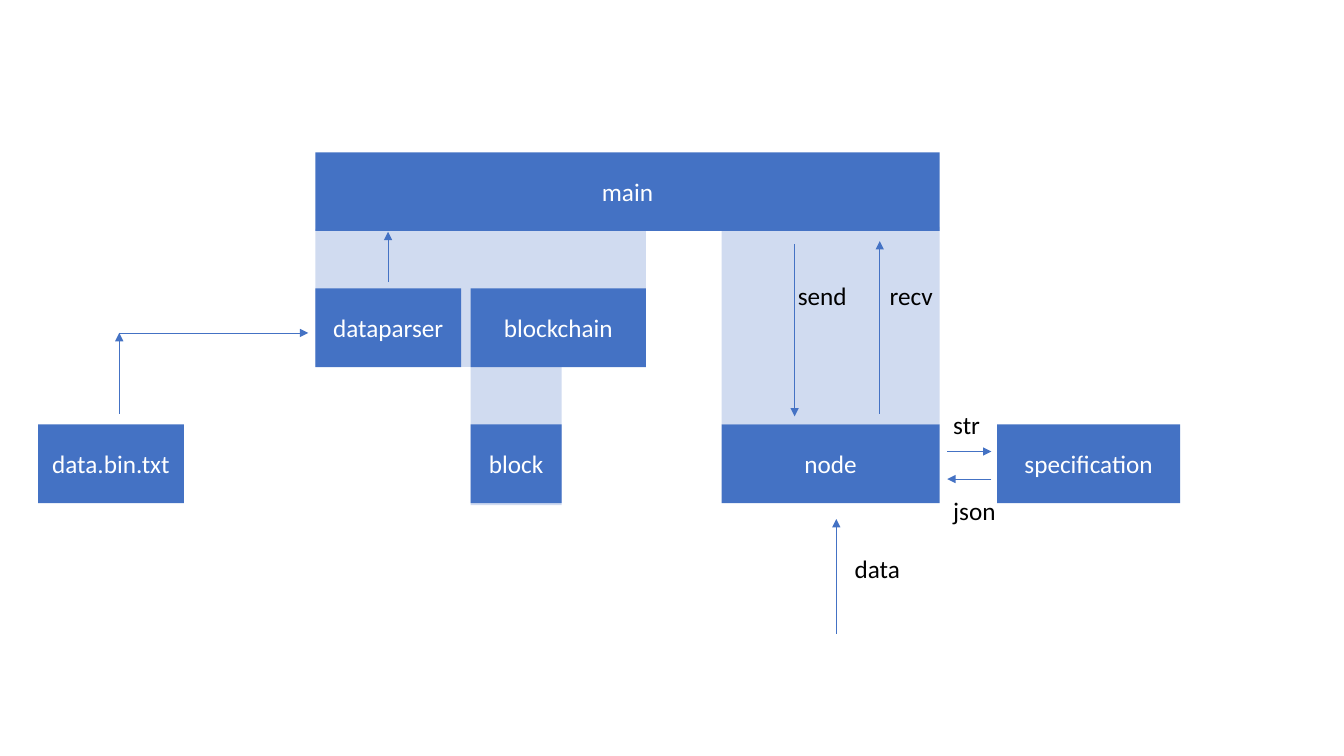
from lxml import etree
from pptx import Presentation
from pptx.dml.color import RGBColor
from pptx.enum.shapes import MSO_CONNECTOR as Connector, MSO_SHAPE as Shape
from pptx.enum.text import MSO_ANCHOR as Anchor, PP_ALIGN as Align
from pptx.oxml.ns import qn
from pptx.util import Pt

COLORS = {"blue": "4472C4", "white": "FFFFFF", "black": "000000"}
FONT = "Calibri"
BOX_HEIGHT = 56.2
MAIN_TOP, MIDDLE_TOP, LOWER_TOP = 108.8, 206, 303.2
MAIN_LEFT, BLOCK_LEFT, NODE_LEFT = 225.2, 336.2, 515.4
PARSER_WIDTH, CHAIN_WIDTH, BLOCK_WIDTH, NODE_WIDTH = 104.2, 125.2, 65, 155.8
MAIN_WIDTH = NODE_LEFT + NODE_WIDTH - MAIN_LEFT
CHAIN_RIGHT = BLOCK_LEFT + CHAIN_WIDTH
MIDDLE_BOTTOM = MIDDLE_TOP + BOX_HEIGHT
LABEL_HEIGHT = 29.1

ZONES = [
    (NODE_LEFT, 162, NODE_WIDTH, LOWER_TOP - 162),
    (BLOCK_LEFT, MIDDLE_BOTTOM, BLOCK_WIDTH, 98.6),
    (MAIN_LEFT, 163.6, CHAIN_RIGHT - MAIN_LEFT, MIDDLE_BOTTOM - 163.6),
]
BOXES = [
    ("main", MAIN_LEFT, MAIN_TOP, MAIN_WIDTH),
    ("blockchain", BLOCK_LEFT, MIDDLE_TOP, CHAIN_WIDTH),
    ("dataparser", MAIN_LEFT, MIDDLE_TOP, PARSER_WIDTH),
    ("node", NODE_LEFT, LOWER_TOP, NODE_WIDTH),
    ("block", BLOCK_LEFT, LOWER_TOP, BLOCK_WIDTH),
    ("data.bin.txt", 27.2, LOWER_TOP, PARSER_WIDTH),
    ("specification", 712.2, LOWER_TOP, 130.8),
]
ARROWS = [
    (676.6, 322.5, 708.2, 322.5),
    (708.2, 342.2, 676.6, 342.2),
    (567.6, 174.2, 567.6, 297.4),
    (628.4, 295.4, 628.4, 172.2),
    (85.2, 237.8, 220.2, 237.8),
    (85.2, 295.4, 85.2, 237.8),
    (277.2, 201.6, 277.2, 165.6),
    (597.4, 452.8, 597.4, 370.8),
]
LABELS = [
    ("recv", 628.4, 196.8, 67),
    ("send", 562.8, 196.8, 67),
    ("str", 673.8, 288.8, 48.2),
    ("json", 673.8, 350, 48.2),
    ("data", 603.4, 391.8, 67),
]


def write_text(shape, text, color="black", align=Align.LEFT, anchor=Anchor.TOP):
    frame = shape.text_frame
    frame.word_wrap = True
    frame.vertical_anchor = anchor
    paragraph = frame.paragraphs[0]
    paragraph.alignment = align
    run = paragraph.add_run()
    run.text = text
    run.font.name = FONT
    run.font.size = Pt(18)
    run.font.color.rgb = RGBColor.from_string(COLORS[color])


def add_rectangle(slide, left, top, width, height, opacity=100):
    shape = slide.shapes.add_shape(
        Shape.RECTANGLE, Pt(left), Pt(top), Pt(width), Pt(height))
    shape.shadow.inherit = False
    shape.line.fill.background()
    shape.fill.solid()
    shape.fill.fore_color.rgb = RGBColor.from_string(COLORS["blue"])
    if opacity < 100:
        color = shape.fill._xPr.find(qn("a:solidFill"))[0]
        etree.SubElement(color, qn("a:alpha"), val=str(opacity * 1000))
    return shape


def add_box(slide, text, left, top, width):
    box = add_rectangle(slide, left, top, width, BOX_HEIGHT)
    write_text(box, text, color="white", align=Align.CENTER, anchor=Anchor.MIDDLE)


def add_arrow(slide, start_x, start_y, end_x, end_y):
    arrow = slide.shapes.add_connector(
        Connector.STRAIGHT, Pt(start_x), Pt(start_y), Pt(end_x), Pt(end_y))
    arrow.line.width = Pt(0.5)
    arrow.line.color.rgb = RGBColor.from_string(COLORS["blue"])
    etree.SubElement(arrow.line._get_or_add_ln(), qn("a:tailEnd"), type="triangle")
    etree.SubElement(arrow._element.spPr, qn("a:effectLst"))


def add_label(slide, text, left, top, width):
    label = slide.shapes.add_textbox(Pt(left), Pt(top), Pt(width), Pt(LABEL_HEIGHT))
    write_text(label, text)


def main():
    presentation = Presentation()
    presentation.slide_width = Pt(960)
    presentation.slide_height = Pt(540)
    slide = presentation.slides.add_slide(presentation.slide_layouts[6])
    for zone in ZONES:
        add_rectangle(slide, *zone, opacity=25)
    for box in BOXES:
        add_box(slide, *box)
    for arrow in ARROWS:
        add_arrow(slide, *arrow)
    for label in LABELS:
        add_label(slide, *label)
    presentation.save("out.pptx")


main()
